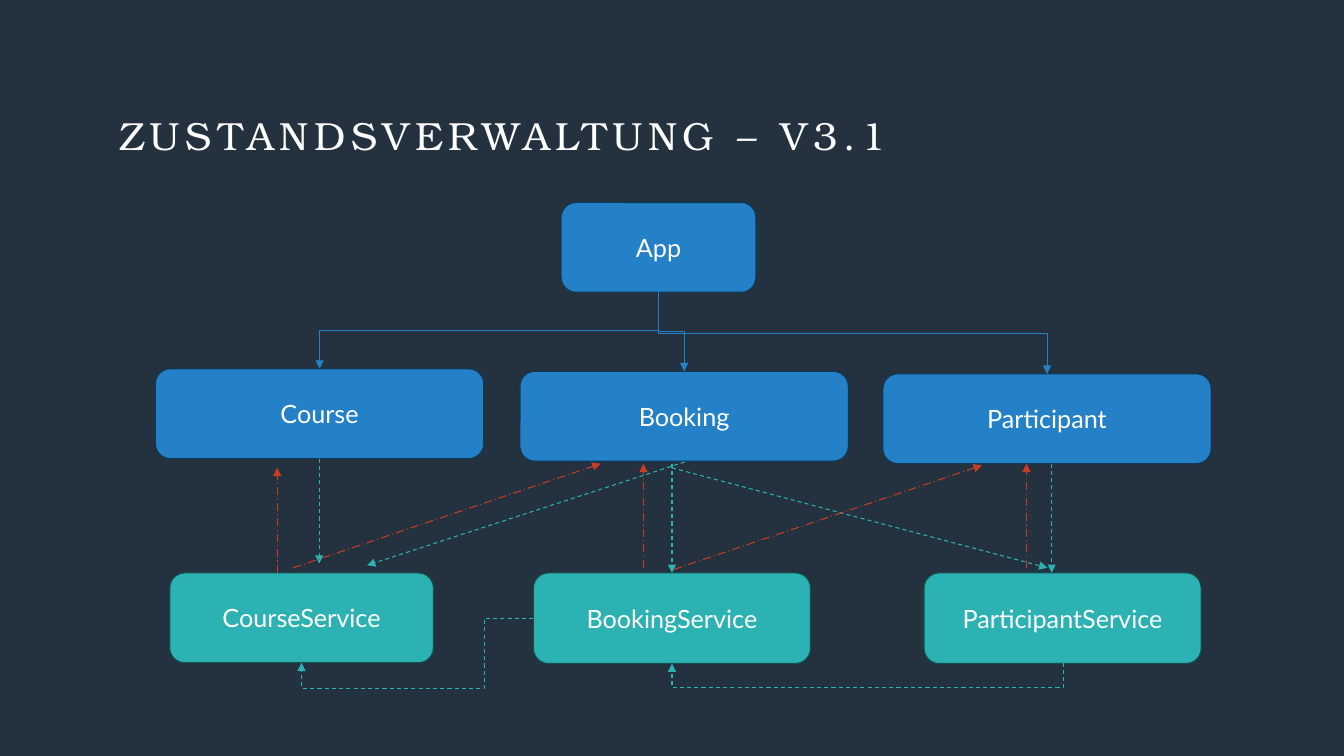
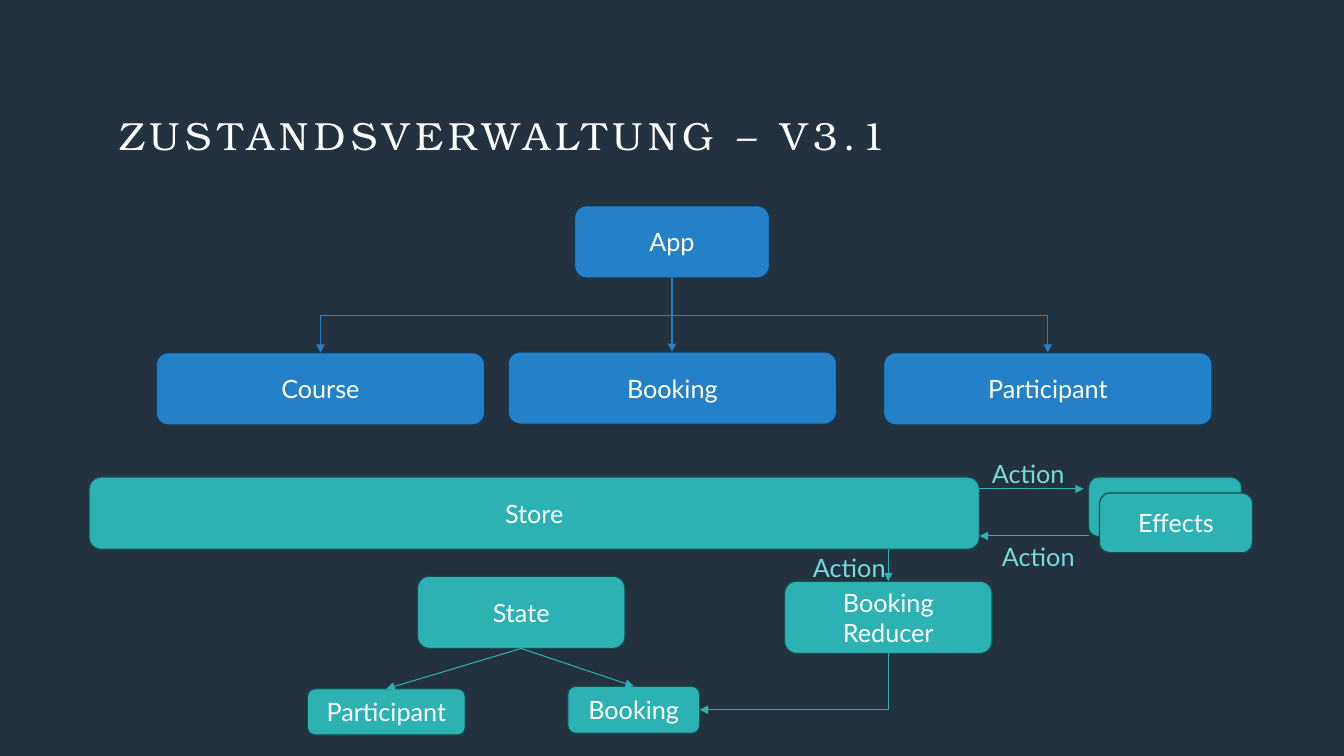
from dataclasses import dataclass
from typing import NamedTuple

from lxml import etree
from pptx import Presentation
from pptx.dml.color import RGBColor
from pptx.enum.dml import MSO_LINE
from pptx.enum.shapes import MSO_CONNECTOR, MSO_SHAPE
from pptx.enum.text import MSO_ANCHOR, PP_ALIGN
from pptx.oxml.ns import qn
from pptx.slide import Slide
from pptx.util import Emu, Inches, Pt

ROUNDED = MSO_SHAPE.ROUNDED_RECTANGLE
STRAIGHT, ELBOW = MSO_CONNECTOR.STRAIGHT, MSO_CONNECTOR.ELBOW
DASH, LONG_DASH_DOT = MSO_LINE.DASH, MSO_LINE.LONG_DASH_DOT
LEFT, CENTER = PP_ALIGN.LEFT, PP_ALIGN.CENTER
TOP, MIDDLE = MSO_ANCHOR.TOP, MSO_ANCHOR.MIDDLE

SLIDE_WIDTH, SLIDE_HEIGHT = Inches(13.33), Inches(7.5)
COLUMNS, ROWS = 160, 90


class Palette(NamedTuple):
    fill: RGBColor
    outline: RGBColor


class Stroke(NamedTuple):
    color: RGBColor
    dash: MSO_LINE | None = None


@dataclass(frozen=True)
class Theme:
    background = RGBColor.from_string("23323E")
    white = RGBColor.from_string("FFFFFF")
    label = RGBColor.from_string("76DBDD")
    blue = Palette(RGBColor.from_string("2581C7"), RGBColor.from_string("103957"))
    teal = Palette(RGBColor.from_string("2DB2B4"), RGBColor.from_string("144E4F"))
    red = RGBColor.from_string("C73E25")
    title_font = {"name": "TeX Gyre Bonum", "size": Pt(28)}
    body_font = {"name": "Lato", "size": Pt(18)}
    title_spacing = Pt(4)
    outline_width = Pt(0.85)
    arrow_width = Pt(0.75)


THEME = Theme()
TREE = Stroke(THEME.blue.fill)
FLOW = Stroke(THEME.teal.fill)
CALL = Stroke(THEME.teal.fill, DASH)
NOTIFY = Stroke(THEME.red, LONG_DASH_DOT)


class Point(NamedTuple):
    column: float
    row: float


@dataclass(frozen=True)
class Box:
    """A rectangle measured in grid columns and rows."""
    text: str
    column: float
    row: float
    columns: float
    rows: float
    palette: Palette = THEME.teal

    @property
    def top(self) -> Point:
        return Point(self.column + self.columns / 2, self.row)

    @property
    def bottom(self) -> Point:
        return Point(self.top.column, self.row + self.rows)

    @property
    def left(self) -> Point:
        return Point(self.column, self.row + self.rows / 2)

    @property
    def right(self) -> Point:
        return Point(self.column + self.columns, self.left.row)


@dataclass(frozen=True)
class Arrow:
    start: Point
    end: Point
    stroke: Stroke
    preset: str = ""
    rotation: int = 0
    bends: tuple[float, ...] = ()


TITLE = Box("ZUSTANDSVERWALTUNG – V3.1", 14.2, 13.3, 131.6, 8.6)


def across(columns: float) -> Emu:
    return Emu(round(columns * SLIDE_WIDTH / COLUMNS))


def down(rows: float) -> Emu:
    return Emu(round(rows * SLIDE_HEIGHT / ROWS))


def frame(box: Box) -> tuple[Emu, Emu, Emu, Emu]:
    return across(box.column), down(box.row), across(box.columns), down(box.rows)


def write_text(text_frame, text: str, font: dict, color: RGBColor, alignment: PP_ALIGN) -> None:
    text_frame.text = text
    for paragraph in text_frame.paragraphs:
        paragraph.alignment = alignment
        for run in paragraph.runs:
            for attribute, value in font.items():
                setattr(run.font, attribute, value)
            run.font.color.rgb = color


def draw_title(slide: Slide) -> None:
    text_frame = slide.shapes.add_textbox(*frame(TITLE)).text_frame
    settings = {"word_wrap": True, "vertical_anchor": TOP} | dict.fromkeys(
        ("margin_left", "margin_top", "margin_right", "margin_bottom"), 0)
    for attribute, value in settings.items():
        setattr(text_frame, attribute, value)
    write_text(text_frame, TITLE.text, THEME.title_font, THEME.white, LEFT)
    properties = text_frame.paragraphs[0].runs[0].font._element
    properties.set("spc", str(round(THEME.title_spacing.pt * 100)))


def draw_box(slide: Slide, box: Box) -> None:
    shape = slide.shapes.add_shape(ROUNDED, *frame(box))
    shape.shadow.inherit = False
    shape.fill.solid()
    shape.fill.fore_color.rgb = box.palette.fill
    shape.line.color.rgb = box.palette.outline
    shape.line.width = THEME.outline_width
    shape.text_frame.vertical_anchor = MIDDLE
    if box.text:
        write_text(shape.text_frame, box.text, THEME.body_font, THEME.white, CENTER)


def draw_label(slide: Slide, label: Box) -> None:
    text_frame = slide.shapes.add_textbox(*frame(label)).text_frame
    text_frame.word_wrap = False
    write_text(text_frame, label.text, THEME.body_font, THEME.label, LEFT)


def unrotated_ends(arrow: Arrow) -> tuple[Emu, Emu, Emu, Emu]:
    """Turn both ends back around their midpoint, as the file stores them."""
    start_x, start_y = across(arrow.start.column), down(arrow.start.row)
    end_x, end_y = across(arrow.end.column), down(arrow.end.row)
    middle_x, middle_y = (start_x + end_x) / 2, (start_y + end_y) / 2
    offset_x, offset_y = start_x - middle_x, start_y - middle_y
    for _ in range(arrow.rotation // 90):
        offset_x, offset_y = offset_y, -offset_x
    return (Emu(round(middle_x + offset_x)), Emu(round(middle_y + offset_y)),
            Emu(round(middle_x - offset_x)), Emu(round(middle_y - offset_y)))


def draw_arrow(slide: Slide, arrow: Arrow) -> None:
    kind = ELBOW if arrow.preset else STRAIGHT
    connector = slide.shapes.add_connector(kind, *unrotated_ends(arrow))
    connector.line.color.rgb = arrow.stroke.color
    connector.line.width = THEME.arrow_width
    if arrow.stroke.dash is not None:
        connector.line.dash_style = arrow.stroke.dash
    properties = connector._element.spPr
    etree.SubElement(properties.find(qn("a:ln")), qn("a:tailEnd"), type="triangle")
    etree.SubElement(properties, qn("a:effectLst"))
    if arrow.preset:
        properties.find(qn("a:xfrm")).set("rot", str(arrow.rotation * 60000))
        geometry = properties.find(qn("a:prstGeom"))
        geometry.set("prst", arrow.preset)
        guides = geometry.find(qn("a:avLst"))
        for number, bend in enumerate(arrow.bends, start=1):
            name = f"adj{number}" if len(arrow.bends) > 1 or number > 1 else "adj1"
            etree.SubElement(guides, qn("a:gd"), name=name, fmla=f"val {round(bend * 100000)}")


def tree_arrow(parent: Box, child: Box) -> Arrow:
    shift = child.top.column - parent.bottom.column
    if abs(shift) < 1:
        return Arrow(parent.bottom, Point(parent.bottom.column, child.row), TREE)
    return Arrow(parent.bottom, child.top, TREE, "bentConnector3", 270 if shift > 0 else 90)


def component_tree(app: Point, children: tuple[Point, ...], rows: float) -> tuple[Box, ...]:
    names = ("Course", "Booking", "Participant")
    return (Box("App", *app, 23.2, rows, THEME.blue),
            *(Box(name, *place, 39.1, rows, THEME.blue) for name, place in zip(names, children)))


def draw_slide(presentation, tree: tuple[Box, ...], boxes: tuple[Box, ...],
               arrows: tuple[Arrow, ...], labels: tuple[Box, ...] = ()) -> None:
    slide = presentation.slides.add_slide(presentation.slide_layouts[6])
    slide.background.fill.solid()
    slide.background.fill.fore_color.rgb = THEME.background
    draw_title(slide)
    for box in tree + boxes:
        draw_box(slide, box)
    app, *children = tree
    for arrow in (*(tree_arrow(app, child) for child in children), *arrows):
        draw_arrow(slide, arrow)
    for label in labels:
        draw_label(slide, label)


def add_services_slide(presentation) -> None:
    tree = component_tree(Point(66.8, 24.1),
                          (Point(18.5, 43.9), Point(61.9, 44.2), Point(105.1, 44.5)), 10.7)
    course = Box("CourseService", 20.2, 68.2, 31.4, 10.7)
    booking = Box("BookingService", 63.5, 68.2, 33, 10.8)
    participant = Box("ParticipantService", 110, 68.2, 33, 10.8)
    calls = (
        (Point(38, 54.6), Point(38, 67.1)),
        (Point(81.5, 55), Point(43.7, 67.3)),
        (Point(80, 55.2), booking.top),
        (Point(125.2, 55.2), Point(125.2, 68.2)),
        (Point(80, 55.7), Point(124.7, 67.6)),
    )
    notifications = (
        (Point(33, 68.2), Point(33, 55.7)),
        (Point(76.6, 67.6), Point(76.6, 55.2)),
        (Point(122.2, 67.6), Point(122.2, 55.2)),
        (Point(34.9, 67.6), Point(71.5, 55.2)),
        (Point(80.2, 67.8), Point(116.9, 55.4)),
    )
    arrows = (
        *(Arrow(*ends, CALL) for ends in calls),
        Arrow(Point(126.6, 78.9), booking.bottom, CALL, "bentConnector3", 90, (30,)),
        Arrow(booking.left, course.bottom, CALL, "bentConnector4", 180, (0.21, 1.57)),
        *(Arrow(*ends, NOTIFY) for ends in notifications),
    )
    draw_slide(presentation, tree, (course, booking, participant), arrows)


def add_store_slide(presentation) -> None:
    tree = component_tree(Point(68.4, 24.5),
                          (Point(18.6, 42), Point(60.5, 41.9), Point(105.2, 42)), 8.6)
    store = Box("Store", 10.6, 56.8, 106, 8.6)
    effects_back = Box("", 129.6, 56.8, 18.2, 7.1)
    effects = Box("Effects", 130.9, 58.7, 18.2, 7.1)
    state = Box("State", 49.7, 68.6, 24.7, 8.6)
    reducer = Box("Booking\nReducer", 93.4, 69.2, 24.7, 8.6)
    booking = Box("Booking", 67.6, 81.7, 15.7, 5.6)
    participant = Box("Participant", 36.6, 82, 18.8, 5.5)
    arrows = (
        Arrow(Point(store.right.column, 58.2), Point(129, 58.2), FLOW),
        Arrow(Point(effects_back.column, 63.8), Point(store.right.column, 63.8), FLOW),
        Arrow(Point(reducer.top.column, store.bottom.row), reducer.top, FLOW),
        Arrow(state.bottom, booking.top, FLOW),
        Arrow(state.bottom, participant.top, FLOW),
        Arrow(reducer.bottom, booking.right, FLOW, "bentConnector2", 90),
    )
    label_places = (Point(116.9, 54), Point(118.1, 63.8), Point(95.6, 65.2))
    draw_slide(presentation, tree,
               (store, effects_back, effects, state, reducer, booking, participant), arrows,
               tuple(Box("Action", *place, 11.3, 4.8) for place in label_places))


def main() -> None:
    presentation = Presentation()
    presentation.slide_width, presentation.slide_height = SLIDE_WIDTH, SLIDE_HEIGHT
    add_services_slide(presentation)
    add_store_slide(presentation)
    presentation.save("out.pptx")


if __name__ == "__main__":
    main()
